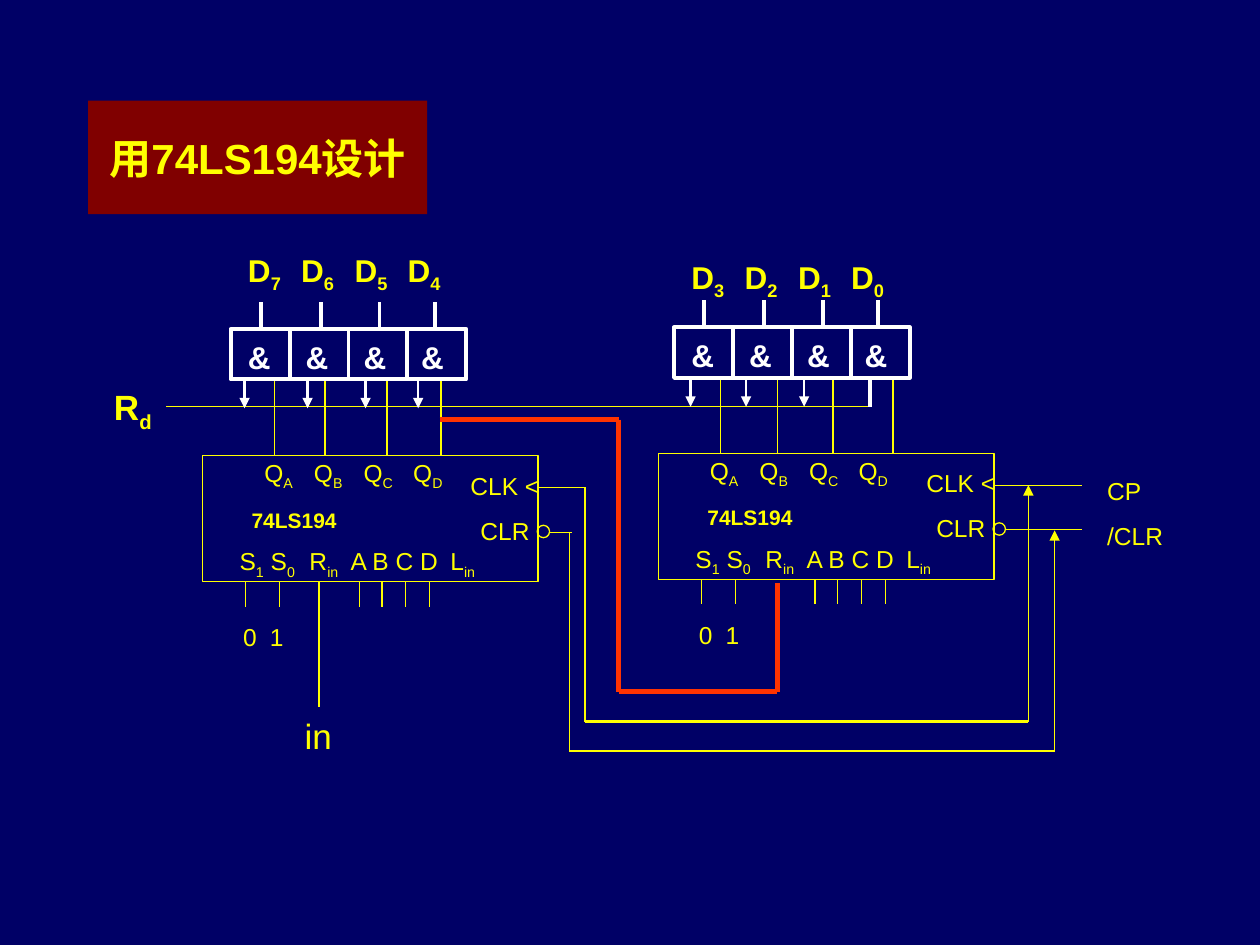
from itertools import pairwise

from lxml import etree
from pptx import Presentation
from pptx.dml.color import RGBColor
from pptx.enum import shapes, text
from pptx.oxml import ns
from pptx.util import Cm, Pt

YELLOW, WHITE, RED = "FFFF00", "FFFFFF", "FF3300"
LEFT, CENTER = text.PP_ALIGN.LEFT, text.PP_ALIGN.CENTER


def paint(fmt, color):
    """Give a fill a solid colour."""
    fmt.solid()
    fmt.fore_color.rgb = RGBColor.from_string(color)


def write(sp, lines, size, color=YELLOW, bold=False, align=LEFT, tabs=(), inset=0.25):
    """Fill a shape with text, where every second part between bars is subscript."""
    tf = sp.text_frame
    tf.word_wrap = True
    tf.margin_left, tf.margin_right = Cm(inset), Cm(min(inset, 0.25))
    for i, line in enumerate(lines.split("\n")):
        p = tf.add_paragraph() if i else tf.paragraphs[0]
        if tabs:
            tab_list = etree.SubElement(p._p.get_or_add_pPr(), ns.qn("a:tabLst"))
            for pos in tabs:
                etree.SubElement(tab_list, ns.qn("a:tab"), pos=str(Cm(pos)), algn="l")
        p.alignment, p.space_before = align, Pt(size * 0.625)
        p.font.name, p.font.size, p.font.bold = "Arial", Pt(size), bold
        p.font.color.rgb = RGBColor.from_string(color)
        for j, part in enumerate(line.split("|")):
            if part:
                r = p.add_run()
                r.text = part
                if j % 2:
                    r._r.get_or_add_rPr().set("baseline", "-25000")


def label(s, x, y, w, h, lines, size, **style):
    """Add a text box."""
    write(s.shapes.add_textbox(Cm(x), Cm(y), Cm(w), Cm(h)), lines, size, **style)


def outline(s, kind, x, y, w, h, color, width):
    """Add an unfilled shape with a coloured border."""
    sp = s.shapes.add_shape(kind, Cm(x), Cm(y), Cm(w), Cm(h))
    sp.shadow.inherit = False
    sp.fill.background()
    paint(sp.line.fill, color)
    sp.line.width = Pt(width)
    return sp


def wire(s, x1, y1, x2, y2, color=YELLOW, width=0.75, arrow=False):
    """Add a straight line, with an arrowhead at its end if asked."""
    c = s.shapes.add_connector(
        shapes.MSO_CONNECTOR.STRAIGHT, Cm(x1), Cm(y1), Cm(x2), Cm(y2))
    paint(c.line.fill, color)
    c.line.width = Pt(width)
    if arrow:
        etree.SubElement(c.line._get_or_add_ln(), ns.qn("a:tailEnd"), type="triangle")
    etree.SubElement(c._element.spPr, ns.qn("a:effectLst"))
    return c


def route(s, x, y, points, **style):
    """Join points, given relative to x and y, with lines."""
    for (x1, y1), (x2, y2) in pairwise(points):
        wire(s, x + x1, y + y1, x + x2, y + y2, **style)


def title(s, x, y, w, h):
    """Add the filled title."""
    sp = s.shapes.add_shape(shapes.MSO_SHAPE.RECTANGLE, Cm(x), Cm(y), Cm(w), Cm(h))
    sp.shadow.inherit = False
    paint(sp.fill, "800000")
    sp.line.fill.background()
    write(sp, "用74LS194设计", 24, bold=True, align=CENTER)


def chip(s, x, y, outputs, clk_end, clr_end, w=6.76, h=2.54):
    """Add a shift register with its pins and pin names."""
    outline(s, shapes.MSO_SHAPE.RECTANGLE, x, y, w, h, YELLOW, 0.75)
    label(s, x + outputs[0] - 0.46, y - 0.08, 4.29, 0.94,
          "Q|A|\tQ|B|\tQ|C|\tQ|D", 14, tabs=(1, 2, 3))
    label(s, x + 0.38, y + 0.91, 2.92, 0.76, "74LS194", 12, bold=True, align=CENTER)
    label(s, x - 0.56, y + 1.7, 7.42, 0.94, "S|1| S|0|\tR|in|\tA B C D\tL|in", 14,
          tabs=(1.41, 2.24, 4.25), inset=1.3)
    label(s, x + 5.38, y + 0.18, 1.42, 1.75, "CLK <\nCLR", 14, align=CENTER, inset=0)
    label(s, x + 0.5, y + 3.23, 1.47, 0.86, "0\t1", 14, tabs=(0.54,), inset=0.31)
    outline(s, shapes.MSO_SHAPE.OVAL, x + w - 0.02, y + 1.4, 0.25, 0.25, YELLOW, 0.75)
    wire(s, x + w, y + 0.64, x + clk_end, y + 0.64)
    wire(s, x + w + 0.23, y + 1.54, x + clr_end, y + 1.54)
    for pin in outputs:
        wire(s, x + pin, y, x + pin, y - 1.52)
    for pin in (0.86, 1.55, 3.15, 3.61, 4.09, 4.57):
        wire(s, x + pin, y + h, x + pin, y + h + 0.5)


def gates(s, x, y, bits, bits_y, arrows, w=4.75, h=1.02):
    """Add a row of four AND gates with data inputs and reset arrows."""
    box = outline(s, shapes.MSO_SHAPE.RECTANGLE, x, y, w, h, WHITE, 2.25)
    dividers = [wire(s, x + w * i / 4, y, x + w * i / 4, y + h, WHITE, 2.25)
                for i in (1, 2, 3)]
    dividers[1].begin_connect(box, 0)
    dividers[1].end_connect(box, 2)
    label(s, x - 0.08, y + 0.05, 4.98, 1.02, "&\t&\t&\t&", 18, color=WHITE,
          bold=True, tabs=(1.16, 2.33, 3.49), inset=0.43)
    label(s, x - 0.12, y + bits_y, 5.23, 1.12, "\t".join(f"D|{b}|" for b in bits), 18,
          bold=True, tabs=(1.07, 2.15, 3.22), inset=0.47)
    for pin in (0.61, 1.82, 3, 4.11):
        wire(s, x + pin, y, x + pin, y - 0.55, WHITE, 2.25)
    for pin in arrows:
        wire(s, x + pin, y + h, x + pin, y + 1.6, WHITE, 1.5, arrow=True)


def wiring(s, x, y):
    """Add the lines between the parts, from the start of the reset line."""
    label(s, x - 1.42, y - 0.55, 1.5, 1.22, "R|d", 20, bold=True, align=CENTER)
    label(s, x + 2.54, y + 6.07, 1.3, 1.12, "in", 20)
    label(s, x + 18.72, y + 1.27, 1.88, 1.75, "CP\n/CLR", 14)
    route(s, x, y, [(0, 0), (14.18, 0)])
    route(s, x, y, [(14.18, 0), (14.18, -0.56)], color=WHITE, width=2.25)
    route(s, x, y, [(3.08, 3.53), (3.08, 6.05)])
    route(s, x, y, [(8.13, 2.52), (8.13, 6.94), (17.91, 6.94)])
    route(s, x, y, [(17.91, 6.94), (17.91, 2.49)], arrow=True)
    route(s, x, y, [(8.44, 1.63), (8.44, 6.35), (17.38, 6.35)], width=1.5)
    route(s, x, y, [(17.38, 6.35), (17.38, 1.58)], arrow=True)
    route(s, x, y, [(5.51, 0.26), (9.12, 0.26), (9.12, 5.74), (12.32, 5.74),
                    (12.32, 3.56)], color=RED, width=3)


def main():
    """Build the slide and save it."""
    prs = Presentation()
    prs.slide_width, prs.slide_height = Cm(25.4), Cm(19.05)
    s = prs.slides.add_slide(prs.slide_layouts[6])
    paint(s.background.fill, "000066")
    chip(s, 4.09, 9.19, (1.45, 2.46, 3.71, 4.8), 7.72, 7.44)
    chip(s, 13.28, 9.14, (1.24, 2.39, 3.51, 4.72), 8.53, 8.53)
    wiring(s, 3.35, 8.2)
    gates(s, 4.65, 6.63, "7654", -1.7, (0.28, 1.55, 2.72, 3.78))
    gates(s, 13.59, 6.6, "3210", -1.52, (0.33, 1.45, 2.62))
    title(s, 1.78, 2.03, 6.83, 2.29)
    prs.save("out.pptx")


if __name__ == "__main__":
    main()
